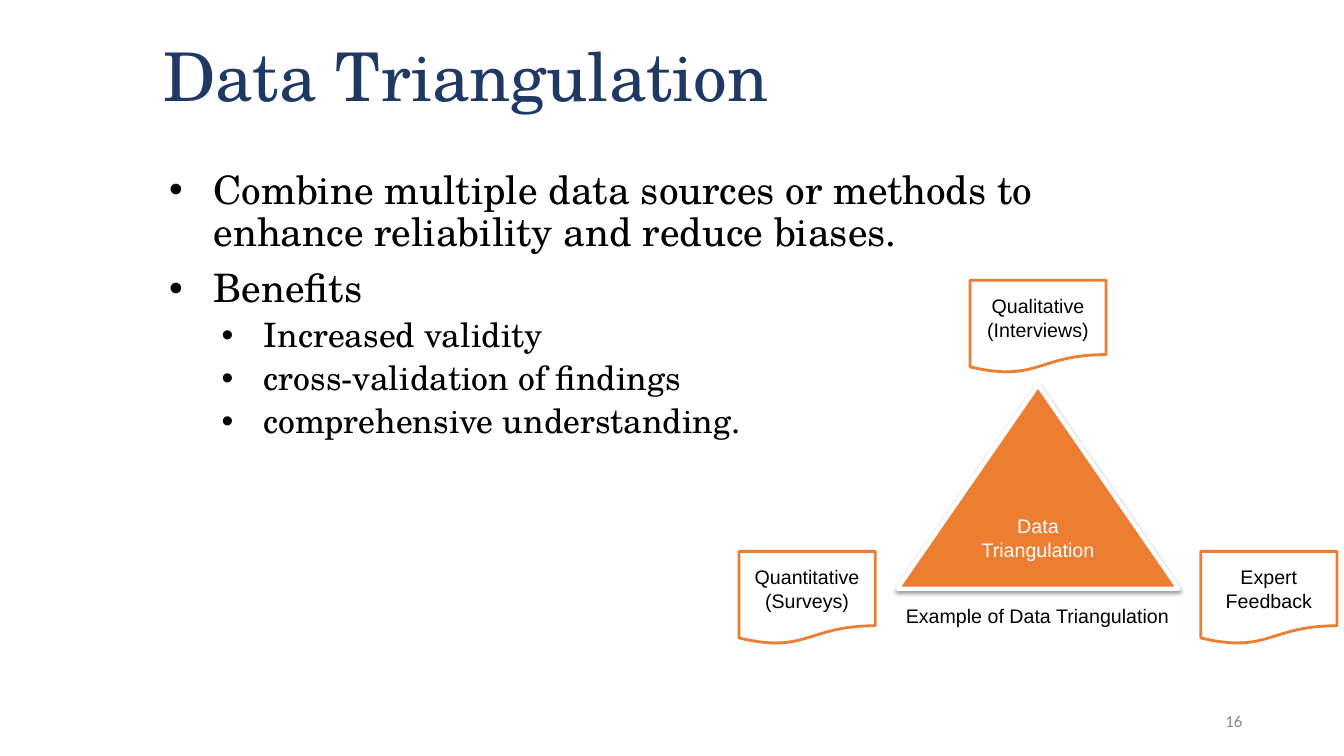
from dataclasses import dataclass

from lxml.etree import SubElement
from pptx import Presentation
from pptx.dml.color import RGBColor
from pptx.enum.shapes import MSO_SHAPE as Preset
from pptx.enum.text import MSO_ANCHOR as Anchor, PP_ALIGN as Align
from pptx.oxml.ns import qn
from pptx.util import Emu, Pt

PX = 9144  # 100 px to the inch


@dataclass(frozen=True)
class Theme:
    serif: str = "TeX Gyre Schola"
    sans: str = "Arial"
    number_font: str = "Calibri"
    navy: str = "1F3864"
    orange: str = "ED7D31"
    black: str = "000000"
    white: str = "FFFFFF"
    grey: str = "888888"
    title: int = 48
    point: int = 28
    subpoint: int = 24
    label: int = 14
    number: int = 12


@dataclass(frozen=True)
class BulletLevel:
    size: int
    margin: int
    hanging: int
    before: int


class SlideBuilder:
    def __init__(self, theme, slide):
        self.theme = theme
        self.slide = slide

    def add_text_run(self, paragraph, text, size, font, color):
        run = paragraph.add_run()
        run.text = text
        run.font.size = Pt(size)
        run.font.name = font
        run.font.color.rgb = RGBColor.from_string(color)

    def frame(self, box, anchor=Anchor.TOP):
        """Return an empty wrapping text area at box (left, top, width, height)."""
        area = self.slide.shapes.add_textbox(*(Emu(v * PX) for v in box)).text_frame
        area.word_wrap = True
        area.vertical_anchor = anchor
        return area

    def text(self, box, text, size, font, color, align=Align.LEFT,
             anchor=Anchor.MIDDLE, spacing=1.0):
        paragraph = self.frame(box, anchor).paragraphs[0]
        paragraph.alignment = align
        paragraph.line_spacing = spacing
        self.add_text_run(paragraph, text, size, font, color)

    def bullets(self, box, points):
        area = self.frame(box)
        for index, (level, text) in enumerate(points):
            paragraph = area.add_paragraph() if index else area.paragraphs[0]
            props = paragraph._p.get_or_add_pPr()
            props.set("marL", str(level.margin * PX))
            props.set("indent", str(-level.hanging * PX))
            tint = SubElement(props, qn("a:buClr"))
            SubElement(tint, qn("a:srgbClr"), val=self.theme.black)
            SubElement(props, qn("a:buFont"), typeface=self.theme.sans)
            SubElement(props, qn("a:buChar"), char="•")
            paragraph.line_spacing = 0.9
            paragraph.space_before = Pt(level.before if index else 0)
            self.add_text_run(paragraph, text, level.size, self.theme.serif,
                              self.theme.black)

    def labelled_shape(self, preset, box, text, fill, line, line_width, color):
        shape = self.slide.shapes.add_shape(preset, *(Emu(v * PX) for v in box))
        shape.shadow.inherit = False
        shape.fill.solid()
        shape.fill.fore_color.rgb = RGBColor.from_string(fill)
        shape.line.color.rgb = RGBColor.from_string(line)
        shape.line.width = Pt(line_width)
        shape.text_frame.word_wrap = True
        shape.text_frame.vertical_anchor = Anchor.MIDDLE
        paragraph = shape.text_frame.paragraphs[0]
        paragraph.alignment = Align.CENTER
        self.add_text_run(paragraph, text, self.theme.label, self.theme.sans, color)
        return shape

    def drop_shadow(self, shape):
        effects = shape._element.spPr.find(qn("a:effectLst"))
        shadow = SubElement(effects, qn("a:outerShdw"), blurRad=str(Pt(3.1)),
                            dist=str(Pt(1.6)), dir="5400000", rotWithShape="0")
        tint = SubElement(shadow, qn("a:srgbClr"), val=self.theme.black)
        SubElement(tint, qn("a:alpha"), val="38000")

    def source_card(self, left, top, text):
        theme = self.theme
        self.labelled_shape(Preset.FLOWCHART_DOCUMENT, (left, top, 135, 92), text,
                            theme.white, theme.orange, 2, theme.black)


def main():
    theme = Theme()
    deck = Presentation()
    deck.slide_width, deck.slide_height = Emu(1333 * PX), Emu(750 * PX)
    page = SlideBuilder(theme, deck.slides.add_slide(deck.slide_layouts[6]))

    page.text((152, 7, 1017, 145), "Data Triangulation", theme.title,
              theme.serif, theme.navy, spacing=0.9)

    main_point = BulletLevel(theme.point, 50, 44, 10)
    benefit = BulletLevel(theme.subpoint, 100, 42, 5)
    page.bullets((152, 164, 1017, 512), [
        (main_point, "Combine multiple data sources or methods to enhance "
                     "reliability and reduce biases."),
        (main_point, "Benefits"),
        (benefit, "Increased validity"),
        (benefit, "cross-validation of findings"),
        (benefit, "comprehensive understanding."),
    ])
    page.text((942, 695, 300, 40), "16", theme.number, theme.number_font,
              theme.grey, Align.RIGHT)

    triangle = page.labelled_shape(
        Preset.ISOSCELES_TRIANGLE, (890, 382, 279, 202), "Data Triangulation",
        theme.orange, theme.white, 3, theme.white)
    page.drop_shadow(triangle)
    for left, top, source in [(962, 278, "Qualitative (Interviews)"),
                              (733, 547, "Quantitative (Surveys)"),
                              (1191, 547, "Expert Feedback")]:
        page.source_card(left, top, source)
    page.text((835, 594, 388, 34), "Example of Data Triangulation", theme.label,
              theme.sans, theme.black, Align.CENTER, Anchor.TOP)

    deck.save("out.pptx")


if __name__ == "__main__":
    main()
